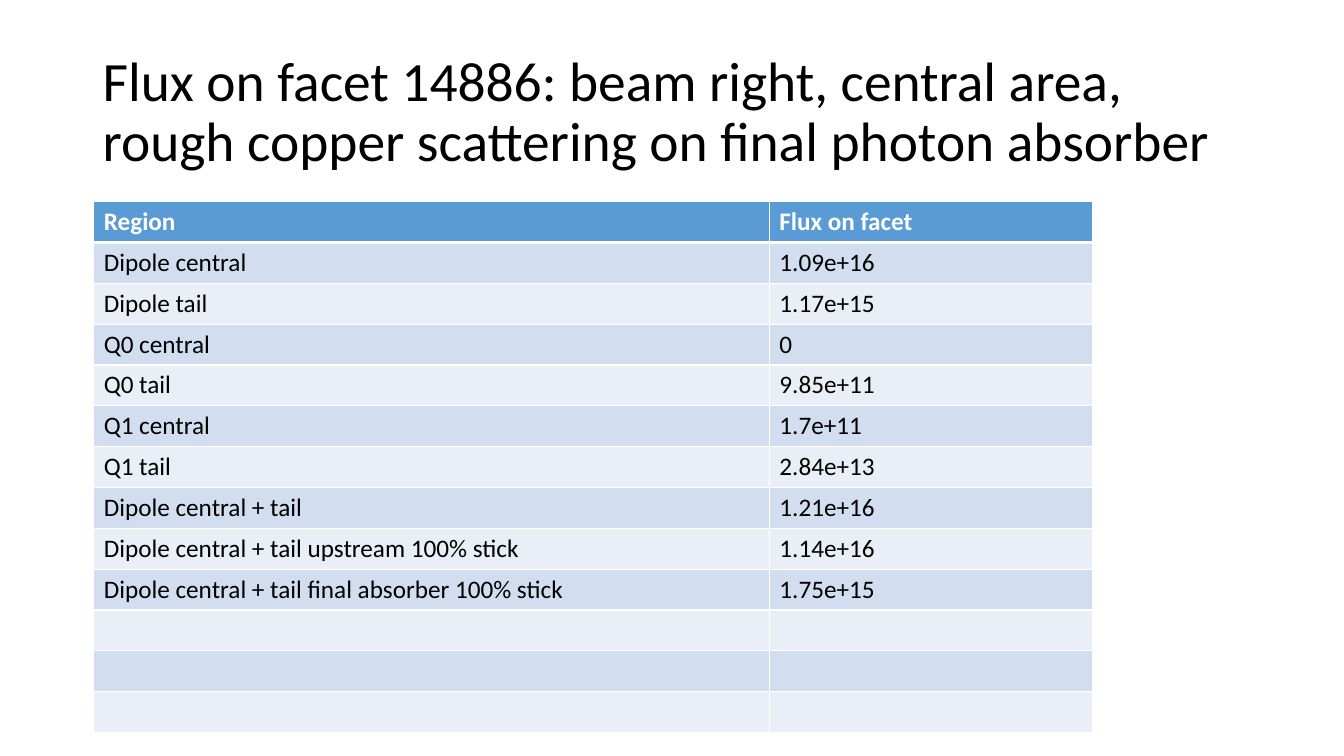
import pptx
import pptx.util
import pptx.dml.color
import pptx.enum.text
import pptx.oxml.ns
import lxml.etree

Inches = pptx.util.Inches
Pt = pptx.util.Pt
RGBColor = pptx.dml.color.RGBColor

BLACK = RGBColor(0x00, 0x00, 0x00)
WHITE = RGBColor(0xFF, 0xFF, 0xFF)
BLUE = RGBColor(0x5B, 0x9B, 0xD5)
DARK = RGBColor(0xD2, 0xDE, 0xEF)
LIGHT = RGBColor(0xEA, 0xEF, 0xF7)

TITLE = "Flux on facet 14886: beam right, central area, rough copper scattering on final photon absorber"
ROWS = [
    ("Region", "Flux on facet"),
    ("Dipole central", "1.09e+16"),
    ("Dipole tail", "1.17e+15"),
    ("Q0 central", "0"),
    ("Q0 tail", "9.85e+11"),
    ("Q1 central", "1.7e+11"),
    ("Q1 tail", "2.84e+13"),
    ("Dipole central + tail", "1.21e+16"),
    ("Dipole central + tail upstream 100% stick", "1.14e+16"),
    ("Dipole central + tail final absorber 100% stick", "1.75e+15"),
] + [("", "")] * 3


def add_run(para, text, size, color, bold=False):
    run = para.add_run()
    run.text = text
    run.font.name = "Calibri"
    run.font.size = Pt(size)
    run.font.bold = bold
    run.font.color.rgb = color


def add_edge(cell, side, width):
    props = cell._tc.get_or_add_tcPr()
    line = lxml.etree.SubElement(props, pptx.oxml.ns.qn("a:ln" + side), w=str(Pt(width)))
    fill = lxml.etree.SubElement(line, pptx.oxml.ns.qn("a:solidFill"))
    lxml.etree.SubElement(fill, pptx.oxml.ns.qn("a:srgbClr"), val=str(WHITE))


deck = pptx.Presentation()
deck.slide_width = Inches(13.33)
deck.slide_height = Inches(7.5)
slide = deck.slides.add_slide(deck.slide_layouts[6])

title = slide.shapes.add_textbox(Inches(0.92), Inches(0.4), Inches(11.5), Inches(1.45))
frame = title.text_frame
frame.word_wrap = True
frame.vertical_anchor = pptx.enum.text.MSO_ANCHOR.MIDDLE
frame.paragraphs[0].line_spacing = 0.9
add_run(frame.paragraphs[0], TITLE, 39.6, BLACK)

table = slide.shapes.add_table(
    len(ROWS), 2, Inches(0.93), Inches(2), Inches(9.91), Inches(5.27)
).table
table.columns[0].width = Inches(6.7)
table.columns[1].width = Inches(3.21)

for r, row in enumerate(ROWS):
    head = r == 0
    for c, text in enumerate(row):
        cell = table.cell(r, c)
        for side in "LRTB":
            thick = (head and side == "B") or (r == 1 and side == "T")
            add_edge(cell, side, 3 if thick else 1)
        cell.fill.solid()
        cell.fill.fore_color.rgb = BLUE if head else DARK if r % 2 else LIGHT
        if text:
            para = cell.text_frame.paragraphs[0]
            add_run(para, text, 18, WHITE if head else BLACK, head)

deck.save("out.pptx")
